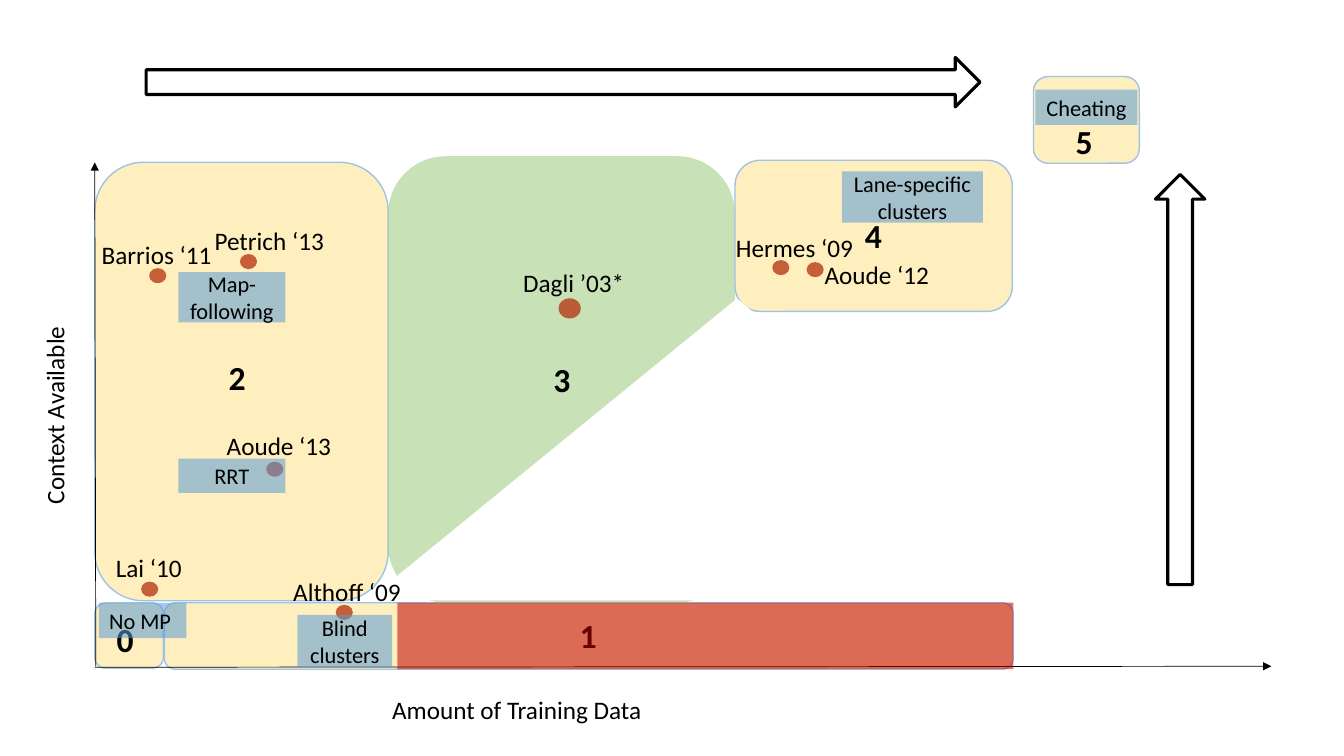
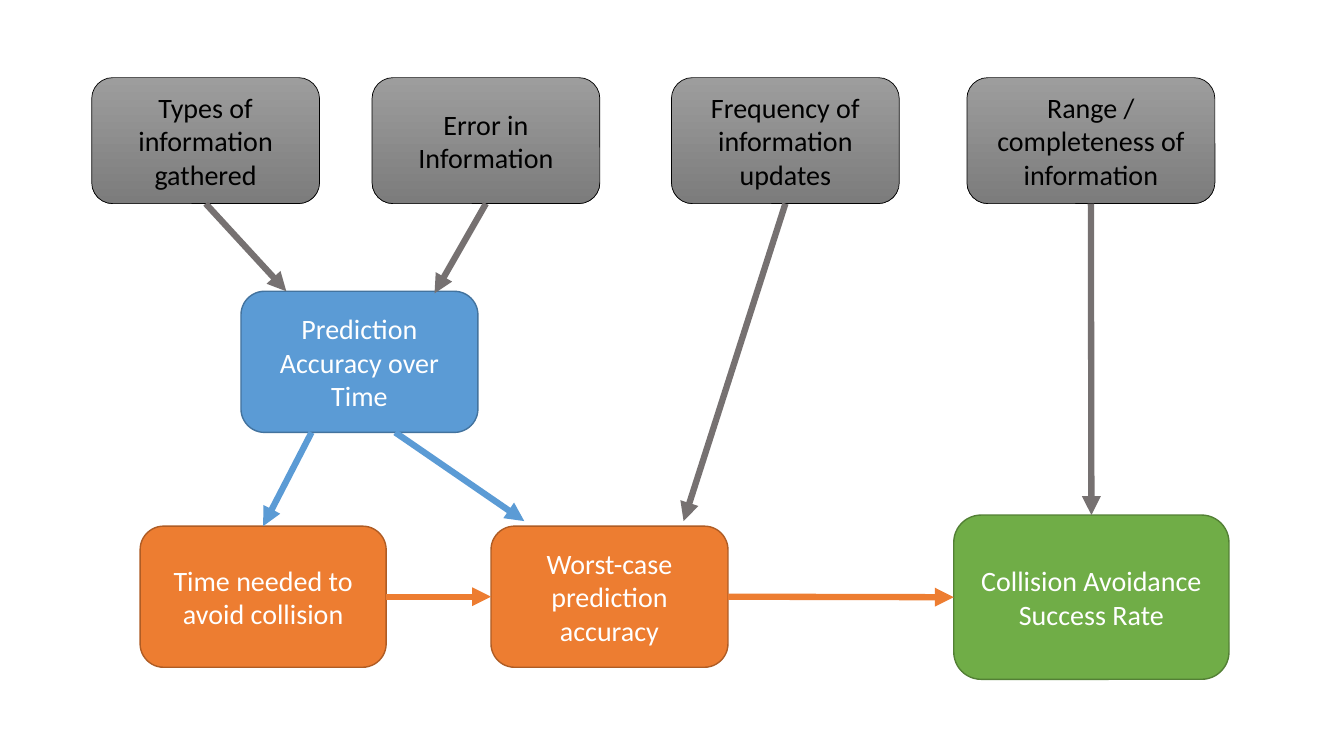
from dataclasses import dataclass

from lxml import etree
from pptx import Presentation
from pptx.dml.color import RGBColor
from pptx.enum.shapes import MSO_CONNECTOR, MSO_SHAPE
from pptx.enum.text import MSO_ANCHOR, MSO_AUTO_SIZE, PP_ALIGN
from pptx.oxml.ns import qn
from pptx.util import Inches, Pt

BOX, ROUND, OVAL = MSO_SHAPE.RECTANGLE, MSO_SHAPE.ROUNDED_RECTANGLE, MSO_SHAPE.OVAL
WEDGE, ARROW = MSO_SHAPE.ISOSCELES_TRIANGLE, MSO_SHAPE.RIGHT_ARROW
LINE = MSO_CONNECTOR.STRAIGHT
MID, FIT = MSO_ANCHOR.MIDDLE, MSO_AUTO_SIZE.SHAPE_TO_FIT_TEXT
LEFT, CENTER = PP_ALIGN.LEFT, PP_ALIGN.CENTER
TOP, WEST, BASE, EAST = range(4)


@dataclass(frozen=True)
class Theme:
    """Colours and type sizes of the deck."""
    font: str = "Calibri"
    black: str = "000000"
    white: str = "FFFFFF"
    sand: str = "FFE699"
    sky: str = "9DC3E6"
    leaf: str = "A9D18E"
    rust: str = "B32D09"
    red: str = "C00000"
    blue: str = "5B9BD5"
    navy: str = "43739E"
    orange: str = "ED7D31"
    brown: str = "AF5C24"
    green: str = "70AD47"
    moss: str = "538035"
    gray: str = "767171"
    pale: str = "9D9D9D"
    dim: str = "7C7C7C"
    tag: int = 16
    label: int = 18
    node: int = 20
    digit: int = 24


THEME = Theme()


def write(shape, text, size=THEME.label, color=THEME.black, bold=False, align=LEFT):
    """Put formatted text into a shape."""
    para = shape.text_frame.paragraphs[0]
    para.alignment = align
    run = para.add_run()
    run.text = text
    font = run.font
    font.name, font.size, font.bold = THEME.font, Pt(size), bold
    font.color.rgb = RGBColor.from_string(color)


class Deck:
    """Hold the style and the current slide."""

    def __init__(self, theme):
        """Start an empty wide deck."""
        self.theme = theme
        self.file = Presentation()
        self.file.slide_width, self.file.slide_height = Inches(13.33), Inches(7.5)
        self.slide = None

    def page(self):
        """Add a blank slide and make it current."""
        self.slide = self.file.slides.add_slide(self.file.slide_layouts[6])

    def shape(self, kind, place, fill=None, alpha=100, line=None, width=1):
        """Draw a preset shape with a flat, shaded or empty fill."""
        shape = self.slide.shapes.add_shape(kind, *map(Inches, place))
        shape.shadow.inherit = False
        if fill is None:
            shape.fill.background()
        elif isinstance(fill, tuple):
            shape.fill.gradient()
            shape.fill.gradient_angle = 270
            for stop, color in zip(shape.fill.gradient_stops, fill):
                stop.color.rgb = RGBColor.from_string(color)
        else:
            shape.fill.solid()
            shape.fill.fore_color.rgb = RGBColor.from_string(fill)
            if alpha < 100:
                color = shape.element.spPr.find(qn("a:solidFill"))[0]
                etree.SubElement(color, qn("a:alpha"), val=str(alpha * 1000))
        if line:
            shape.line.color.rgb = RGBColor.from_string(line)
            shape.line.width = Pt(width)
        else:
            shape.line.fill.background()
        return shape

    def text(self, text, place, wrap=False, **form):
        """Add a free text box."""
        box = self.slide.shapes.add_textbox(*map(Inches, place))
        box.text_frame.word_wrap = wrap
        box.text_frame.auto_size = FIT
        write(box, text, **form)
        return box

    def zone(self, place):
        """Draw a sand-coloured region."""
        self.shape(ROUND, place, self.theme.sand, 63, self.theme.sky)

    def digit(self, text, left, top):
        """Write the number of a region."""
        self.text(text, (left, top, 0.37, 0.5), size=self.theme.digit, bold=True)

    def point(self, text, dot, spot, size=(0.17, 0.15), width=1.29):
        """Draw a dot with its citation."""
        self.shape(OVAL, (*dot, *size), self.theme.rust, 74)
        self.text(text, (*spot, width, 0.4), wrap=True)

    def node(self, text, kind, place, **form):
        """Draw a shape with centred text."""
        color, size = form.pop("color", self.theme.black), form.pop("size", self.theme.node)
        shape = self.shape(kind, place, **form)
        shape.text_frame.word_wrap = True
        shape.text_frame.vertical_anchor = MID
        write(shape, text, size=size, color=color, align=CENTER)
        return shape

    def tag(self, text, *place):
        """Draw a blue method tag."""
        self.node(text, BOX, place, fill=self.theme.blue, alpha=55, size=self.theme.tag)

    def link(self, start, end, color, width=4.5):
        """Draw an arrow between points or (shape, site) pairs."""
        line = self.slide.shapes.add_connector(LINE, 0, 0, 0, 0)
        if isinstance(start[0], (int, float)):
            line.begin_x, line.begin_y = map(Inches, start)
        else:
            line.begin_connect(*start)
        if isinstance(end[0], (int, float)):
            line.end_x, line.end_y = map(Inches, end)
        else:
            line.end_connect(*end)
        line.line.color.rgb = RGBColor.from_string(color)
        line.line.width = Pt(width)
        props = line.element.spPr
        etree.SubElement(props.find(qn("a:ln")), qn("a:tailEnd"), type="triangle")
        etree.SubElement(props, qn("a:effectLst"))


def chart(deck):
    """Map methods by training data and context."""
    look = deck.theme
    deck.page()
    deck.zone((0.94, 1.61, 2.91, 4.35))
    deck.shape(ROUND, (3.85, 1.55, 3.44, 4.43), look.leaf, 63)
    for place in ((1.63, 5.98, 8.42, 0.66), (0.94, 5.98, 0.68, 0.65),
                  (7.29, 1.59, 2.75, 1.5), (10.25, 0.76, 1.05, 0.86)):
        deck.zone(place)
    deck.link((0.94, 6.62), (12.61, 6.61), look.black, 0.5)
    deck.link((0.95, 6.61), (0.94, 1.61), look.black, 0.5)
    wedge = deck.shape(WEDGE, (3.66, 2.97, 7.2, 2.98), look.white, line=look.white)
    wedge.adjustments[0] = 0.507

    for digit in (("0", 1.06, 6.09), ("1", 5.65, 6.05), ("2", 2.17, 3.49),
                  ("3", 5.39, 3.51), ("4", 8.48, 2.08), ("5", 10.57, 1.15)):
        deck.digit(*digit)

    for point in (("Barrios ‘11", (1.48, 2.66), (0.91, 2.33)),
                  ("Petrich ‘13", (2.38, 2.52), (2.03, 2.19)),
                  ("Aoude ‘13", (2.64, 4.58), (2.15, 4.22)),
                  ("Lai ‘10", (1.4, 5.77), (1.05, 5.43)),
                  ("Althoff ‘09", (3.33, 6), (2.81, 5.67)),
                  ("Aoude ‘12", (8, 2.6), (8.08, 2.52))):
        deck.point(*point)
    deck.point("Hermes ‘09", (7.66, 2.58), (7.2, 2.26), width=1.49)
    deck.point("Dagli ’03*", (5.54, 2.96), (5.09, 2.6), size=(0.22, 0.2), width=1.95)

    for tag in (("Map-following", 1.77, 2.7, 1.06, 0.5),
                ("No MP ", 0.98, 5.98, 0.87, 0.35),
                ("Blind clusters", 2.95, 6.1, 0.94, 0.52),
                ("Lane-specific clusters", 8.35, 1.7, 1.4, 0.51),
                ("Cheating", 10.27, 0.89, 1.01, 0.35),
                ("RRT", 1.77, 4.55, 1.06, 0.34)):
        deck.tag(*tag)
    deck.shape(BOX, (3.94, 5.98, 6.11, 0.66), look.red, 55)

    rise = deck.shape(ARROW, (9.67, 3.52, 4.07, 0.49), line=look.black, width=2.25)
    deck.shape(ARROW, (1.45, 0.57, 8.27, 0.49), line=look.black, width=2.25)
    deck.text("Amount of Training Data", (3.79, 6.84, 2.71, 0.4))
    name = deck.text("Context Available", (-0.45, 3.91, 1.98, 0.4))
    rise.rotation = name.rotation = 270


def flow(deck):
    """Trace how information drives collision avoidance."""
    look = deck.theme
    deck.page()
    types, error, rate, scope = [
        deck.node(text, ROUND, (left, 0.77, width, 1.25),
                  fill=(look.pale, look.dim), line=look.black, width=0.5)
        for text, left, width in (
            ("Types of information gathered", 0.91, 2.26),
            ("Error in Information", 3.69, 2.26),
            ("Frequency of information updates", 6.66, 2.26),
            ("Range / completeness of information", 9.59, 2.46))]
    _, time, worst, goal = [
        deck.node(text, ROUND, place, fill=fill, line=line, color=look.white)
        for text, place, fill, line in (
            ("Prediction Accuracy over Time", (2.39, 2.89, 2.35, 1.4), look.blue, look.navy),
            ("Time needed to avoid collision", (1.39, 5.22, 2.44, 1.4), look.orange, look.brown),
            ("Worst-case prediction accuracy", (4.87, 5.22, 2.35, 1.4), look.orange, look.brown),
            ("Collision Avoidance Success Rate", (9.46, 5.11, 2.73, 1.63), look.green, look.moss))]
    for start, end, color in (
            ((types, BASE), (2.84, 2.89), look.gray),
            ((error, BASE), (4.31, 2.91), look.gray),
            ((rate, BASE), (6.78, 5.17), look.gray),
            ((scope, BASE), (goal, TOP), look.gray),
            ((3.09, 4.29), (time, TOP), look.blue),
            ((time, EAST), (worst, WEST), look.orange),
            ((worst, EAST), (goal, WEST), look.orange),
            ((3.92, 4.29), (5.2, 5.17), look.blue)):
        deck.link(start, end, color)


def main():
    """Build and save the deck."""
    deck = Deck(THEME)
    chart(deck)
    flow(deck)
    deck.file.save("out.pptx")


if __name__ == "__main__":
    main()
